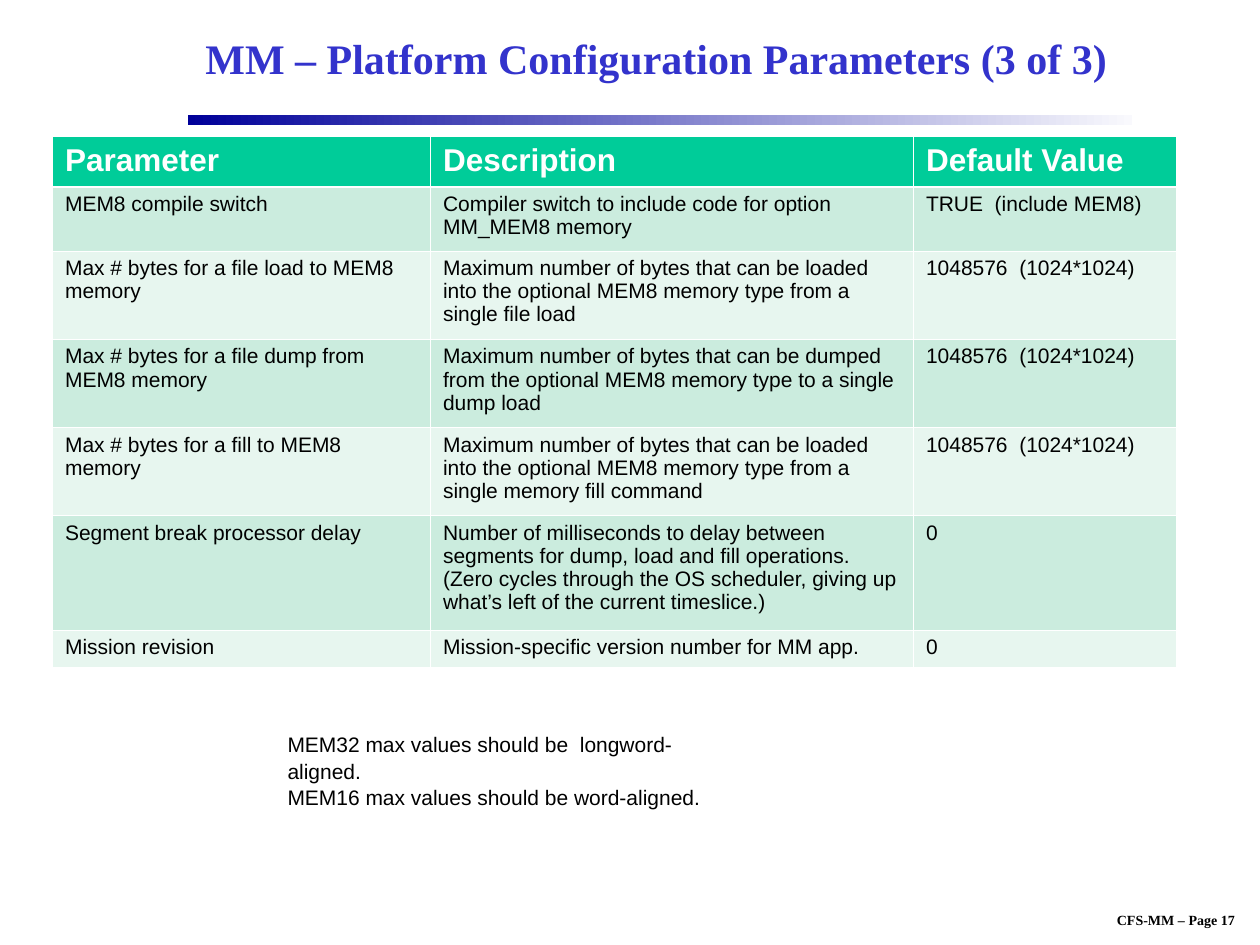
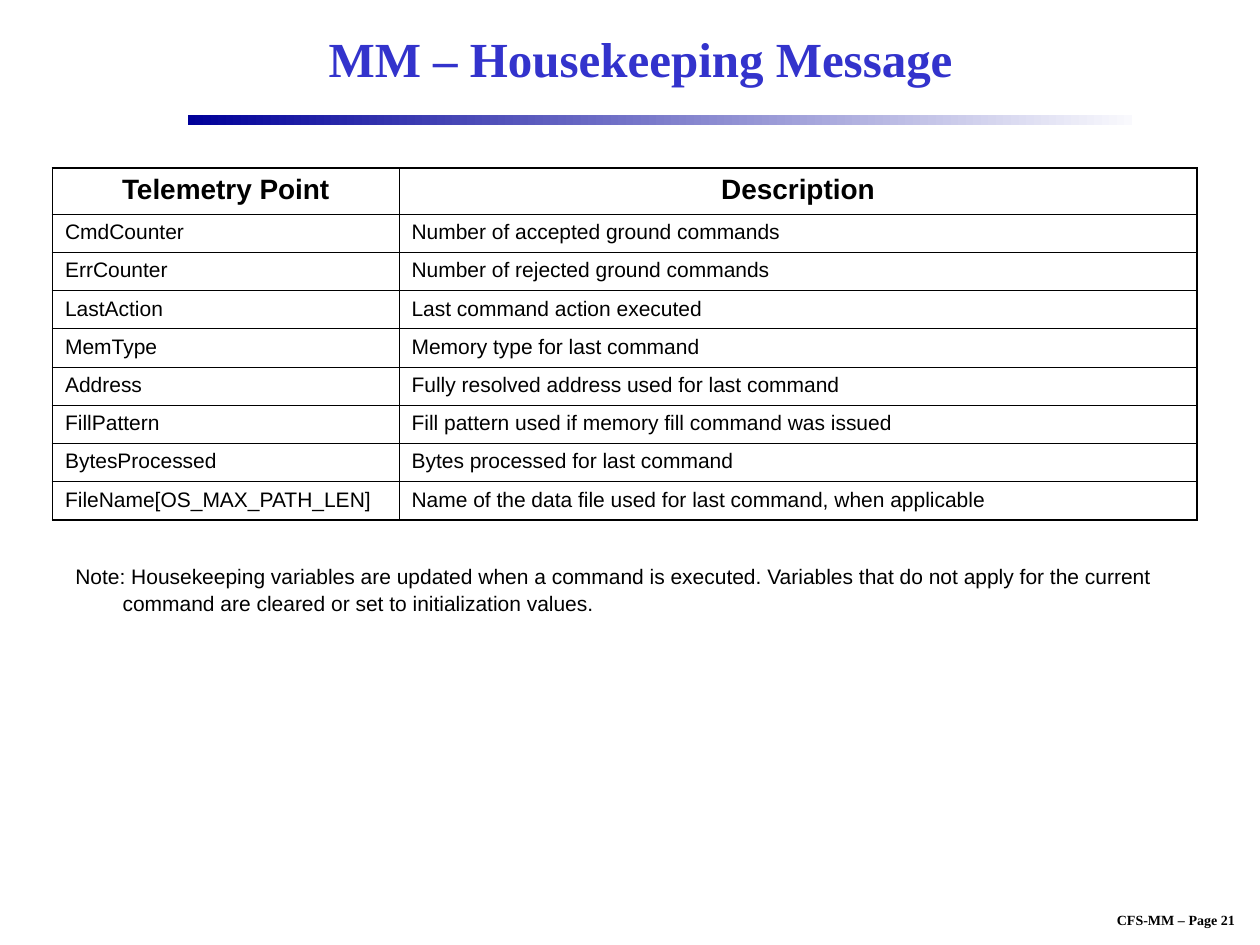
from pptx import Presentation
from pptx.dml.color import RGBColor
from pptx.enum.shapes import MSO_SHAPE
from pptx.enum.text import MSO_ANCHOR, MSO_AUTO_SIZE, PP_ALIGN
from pptx.oxml import parse_xml
from pptx.oxml.ns import nsdecls
from pptx.util import Inches, Pt

RECTANGLE = MSO_SHAPE.RECTANGLE
LEFT, CENTER = PP_ALIGN.LEFT, PP_ALIGN.CENTER
TOP, MIDDLE = MSO_ANCHOR.TOP, MSO_ANCHOR.MIDDLE
NO_AUTOFIT = MSO_AUTO_SIZE.NONE
TITLE_ONLY = 5

# The slide is a grid of 120 columns by 90 rows
COLUMNS, ROWS = 120, 90
COLORS = {
    "title": "3333CC", "text": "000000", "white": "FFFFFF",
    "band start": "000099", "band end": "F9F9FD",
    "header": "00CC99", "odd row": "CBECDE", "even row": "E7F6EF",
}
SERIF, SANS = "Times New Roman", "Arial"
FORMATS = {
    "title": dict(name=SERIF, size=24, bold=True, color="title"),
    "footer": dict(name=SERIF, size=8, bold=True, color="text"),
    "text": dict(name=SANS, size=12, bold=False, color="text"),
    "green header": dict(name=SANS, size=18, bold=True, color="white"),
    "plain header": dict(name=SANS, size=16, bold=True, color="text"),
}
THIN, OUTER, UNDER_HEADER = 0.45, 1.08, 1.47


def rgb(color):
    return RGBColor.from_string(COLORS[color])


class Deck:
    """Holds the shared style and the current slide."""

    def __init__(self):
        self.prs = Presentation()
        self.prs.slide_width, self.prs.slide_height = Inches(10), Inches(7.5)
        self.slide = None

    def x(self, columns):
        return round(self.prs.slide_width * columns / COLUMNS)

    def y(self, rows):
        return round(self.prs.slide_height * rows / ROWS)

    def box(self, left, top, width, height):
        return self.x(left), self.y(top), self.x(width), self.y(height)

    def fill_text(self, frame, lines, style, align=LEFT, spacing=1.0,
                  **changes):
        values = {**FORMATS[style], **changes}
        values["size"] = Pt(values["size"])
        color = values.pop("color")
        frame.text = "\n".join(lines)
        for paragraph in frame.paragraphs:
            paragraph.alignment = align
            paragraph.line_spacing = spacing
            for run in paragraph.runs:
                for key, value in values.items():
                    setattr(run.font, key, value)
                run.font.color.rgb = rgb(color)

    def new_slide(self, title, page, title_width, title_size):
        layout = self.prs.slide_layouts[TITLE_ONLY]
        self.slide = self.prs.slides.add_slide(layout)
        heading = self.slide.shapes.title
        heading.left, heading.top, heading.width, heading.height = self.box(
            18, 1, title_width, 9)
        frame = heading.text_frame
        frame.auto_size, frame.vertical_anchor = NO_AUTOFIT, MIDDLE
        self.fill_text(frame, [title], "title", CENTER, size=title_size)
        self.band()
        self.text([f"CFS-MM – Page {page}"], (102.8, 86.2, 18.4, 2.8),
                  "footer", wrap=False, align=CENTER)

    def band(self):
        band = self.slide.shapes.add_shape(
            RECTANGLE, *self.box(17.9, 11, 89.9, 0.9))
        band.shadow.inherit = False
        band.line.fill.background()
        band.fill.gradient()
        band.fill.gradient_angle = 0
        for stop, color in zip(band.fill.gradient_stops,
                               ("band start", "band end")):
            stop.color.rgb = rgb(color)

    def text(self, lines, place, style="text", wrap=True, hanging=0, **layout):
        frame = self.slide.shapes.add_textbox(*self.box(*place)).text_frame
        frame.word_wrap = wrap
        self.fill_text(frame, lines, style, **layout)
        if hanging:
            indent = self.x(hanging)
            for paragraph in frame.paragraphs:
                properties = paragraph._p.get_or_add_pPr()
                properties.set("marL", str(indent))
                properties.set("indent", str(-indent))

    def borders(self, cell, color, widths):
        properties = cell._tc.get_or_add_tcPr()
        for place, (side, width) in enumerate(zip("LRTB", widths)):
            properties.insert(place, parse_xml(
                f'<a:ln{side} {nsdecls("a")} w="{int(Pt(width))}"><a:solidFill>'
                f'<a:srgbClr val="{COLORS[color]}"/></a:solidFill></a:ln{side}>'))

    def table(self, records, left, top, widths, heights, header,
              header_align=LEFT, spacing=1.0, fills=None, line="text",
              outer=THIN, under_header=THIN):
        grid = self.slide.shapes.add_table(
            len(heights), len(widths),
            *self.box(left, top, sum(widths), sum(heights))).table
        grid.first_row = grid.horz_banding = False
        for column, width in zip(grid.columns, widths):
            column.width = self.x(width)
        for row, height in zip(grid.rows, heights):
            row.height = self.y(height)

        last_row, last_column = len(heights) - 1, len(widths) - 1
        for r, record in enumerate(records):
            for c, value in enumerate(record):
                cell = grid.cell(r, c)
                cell.vertical_anchor = TOP
                if r == 0:
                    self.fill_text(cell.text_frame, [value], header,
                                   header_align)
                else:
                    self.fill_text(cell.text_frame, [value], "text",
                                   spacing=spacing)
                if fills:
                    cell.fill.solid()
                    cell.fill.fore_color.rgb = rgb(
                        fills[0] if r == 0 else fills[2 - r % 2])
                else:
                    cell.fill.background()
                above = {0: outer, 1: under_header}.get(r, THIN)
                below = {last_row: outer, 0: under_header}.get(r, THIN)
                self.borders(cell, line, (
                    outer if c == 0 else THIN,
                    outer if c == last_column else THIN, above, below))


PARAMETERS = [
    ("Parameter", "Description", "Default Value"),
    ("MEM8 compile switch",
     "Compiler switch to include code for option MM_MEM8 memory",
     "TRUE  (include MEM8)"),
    ("Max # bytes for a file load to MEM8 memory",
     "Maximum number of bytes that can be loaded into the optional MEM8 "
     "memory type from a single file load",
     "1048576  (1024*1024)"),
    ("Max # bytes for a file dump from MEM8 memory",
     "Maximum number of bytes that can be dumped from the optional MEM8 "
     "memory type to a single dump load",
     "1048576  (1024*1024)"),
    ("Max # bytes for a fill to MEM8 memory",
     "Maximum number of bytes that can be loaded into the optional MEM8 "
     "memory type from a single memory fill command",
     "1048576  (1024*1024)"),
    ("Segment break processor delay",
     "Number of milliseconds to delay between segments for dump, load and "
     "fill operations. (Zero cycles through the OS scheduler, giving up "
     "what’s left of the current timeslice.)",
     "0"),
    ("Mission revision", "Mission-specific version number for MM app.", "0"),
]
TELEMETRY = [
    ("Telemetry Point", "Description"),
    ("CmdCounter", "Number of accepted ground commands"),
    ("ErrCounter", "Number of rejected ground commands"),
    ("LastAction", "Last command action executed"),
    ("MemType", "Memory type for last command"),
    ("Address", "Fully resolved address used for last command"),
    ("FillPattern", "Fill pattern used if memory fill command was issued"),
    ("BytesProcessed", "Bytes processed for last command"),
    ("FileName[OS_MAX_PATH_LEN]",
     "Name of the data file used for last command, when applicable"),
]


def main():
    deck = Deck()

    # Configuration parameters
    deck.new_slide("MM – Platform Configuration Parameters (3 of 3)", 17,
                   title_width=89, title_size=24)
    deck.table(PARAMETERS, 5, 13, (36, 46, 25),
               (4.8, 6.1, 8.4, 8.4, 8.4, 10.9, 3.6), "green header",
               spacing=0.98, fills=("header", "odd row", "even row"),
               line="white", under_header=UNDER_HEADER)
    deck.text(["MEM32 max values should be  longword-aligned.",
               "MEM16 max values should be word-aligned."],
              (26.2, 69, 46, 6), wrap=False, spacing=1.05)

    # Housekeeping telemetry
    deck.new_slide("MM – Housekeeping Message", 21,
                   title_width=86, title_size=28)
    deck.table(TELEMETRY, 5, 16, (33, 76),
               [4.4] + [3.64] * (len(TELEMETRY) - 1), "plain header",
               header_align=CENTER, outer=OUTER)
    deck.text(["Note: Housekeeping variables are updated when a command is "
               "executed. Variables that do not apply for the current command "
               "are cleared or set to initialization values."],
              (6, 53, 106.6, 9), hanging=4.5, spacing=1.05)

    deck.prs.save("out.pptx")


if __name__ == "__main__":
    main()
